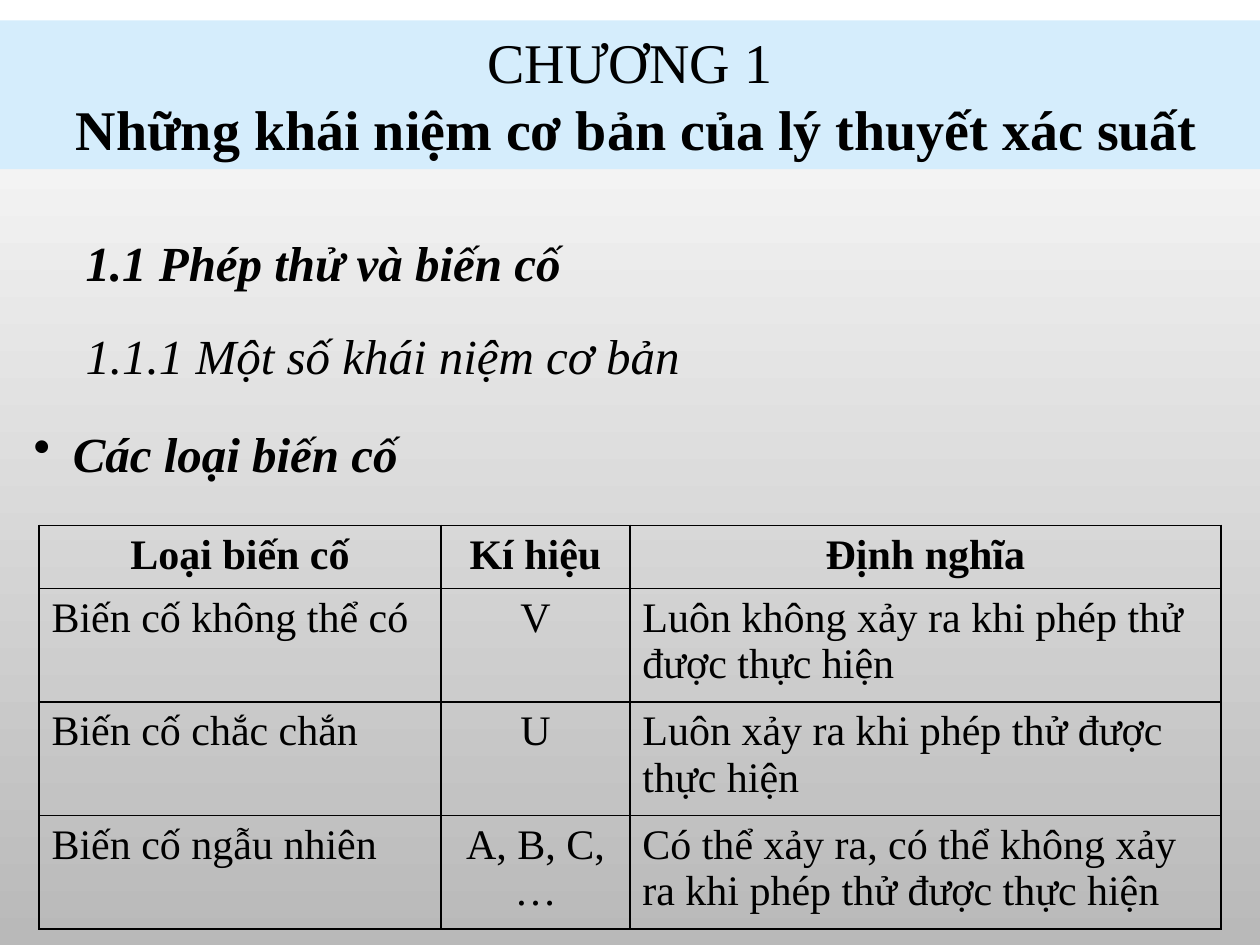
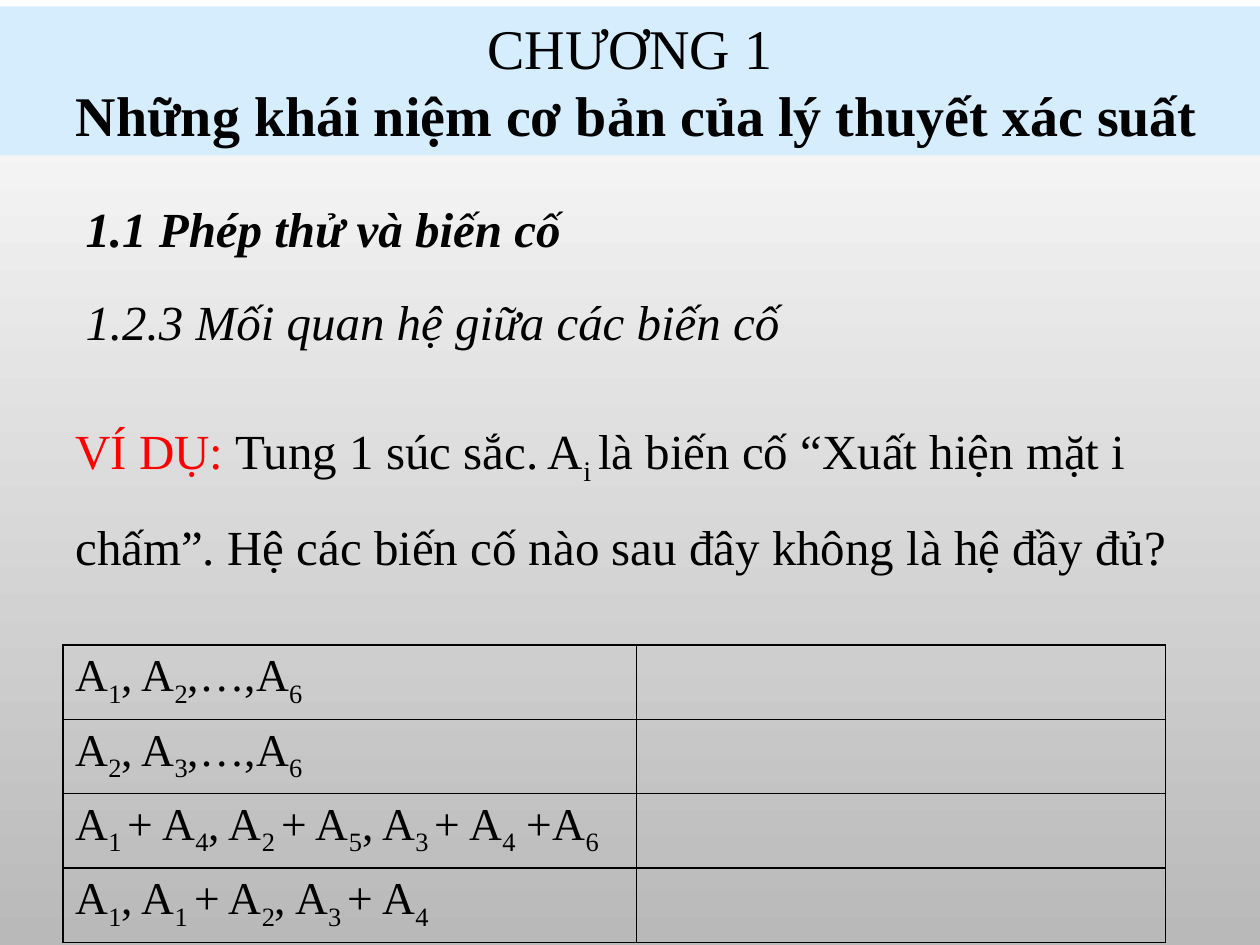
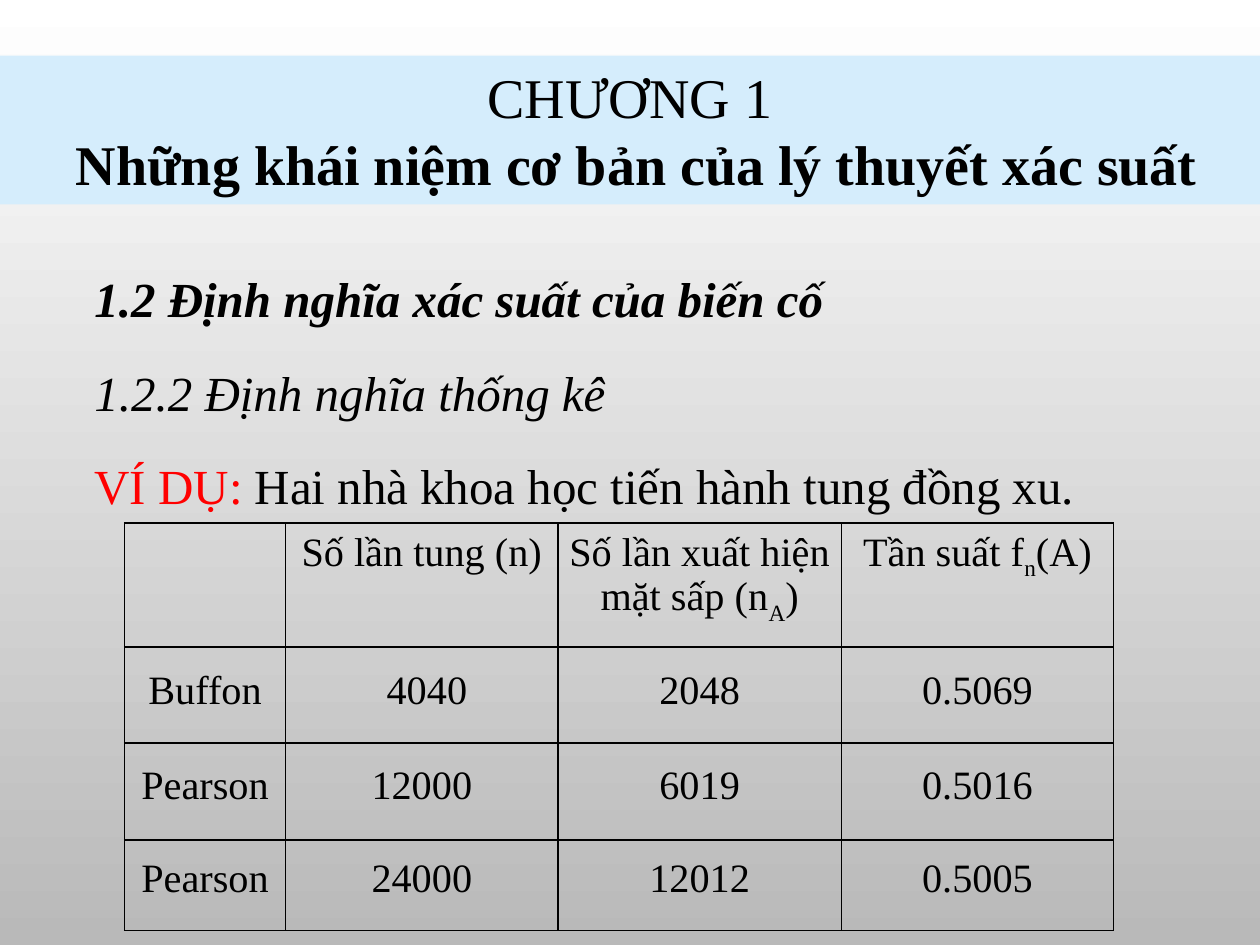
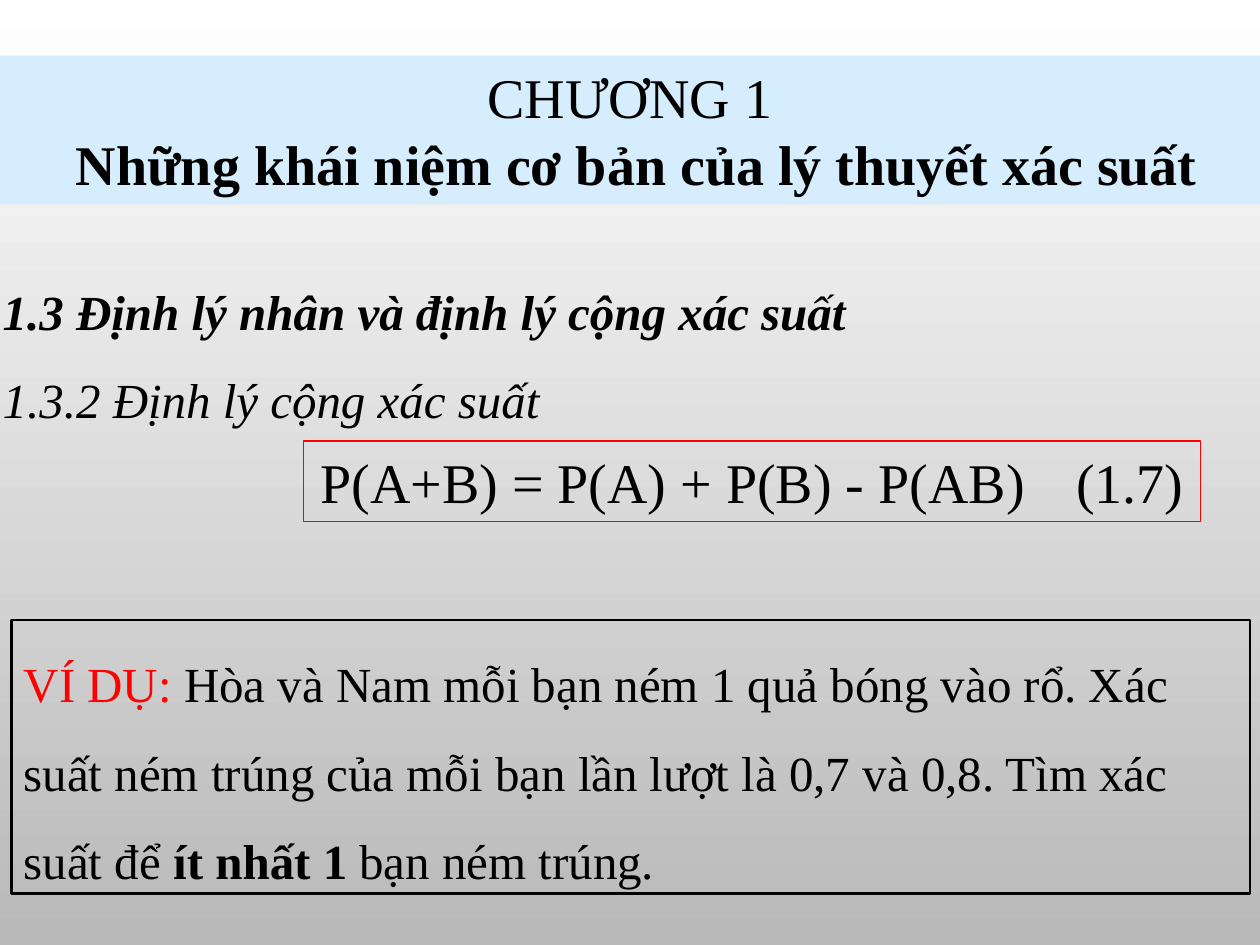
from dataclasses import dataclass

import pptx
import pptx.dml.color
import pptx.enum.shapes
import pptx.enum.text
import pptx.oxml
import pptx.oxml.ns
import pptx.util
from lxml import etree

Cm = pptx.util.Cm
Pt = pptx.util.Pt
Align = pptx.enum.text.PP_ALIGN
Anchor = pptx.enum.text.MSO_ANCHOR
qn = pptx.oxml.ns.qn


@dataclass(frozen=True)
class Theme:
    font: str = "Times New Roman"
    ink: str = "000000"
    accent: str = "FF0000"
    band: str = "D5EDFC"
    page_top: str = "FFFFFF"
    page_bottom: str = "B9B9B9"
    title_size: int = 32
    body_size: int = 28
    event_size: int = 24
    system_size: int = 26
    toss_size: int = 23
    spacing: float = 1.5


THEME = Theme()
CHAPTER = ("CHƯƠNG 1", " Những khái niệm cơ bản của lý thuyết xác suất")
LABEL = ("VÍ DỤ: ", {"color": THEME.accent})


def rgb(value):
    return pptx.dml.color.RGBColor.from_string(value)


def subscripted(text):
    parts = text.replace("}", "{").split("{")
    return [(part, {"sub": i % 2 == 1}) for i, part in enumerate(parts) if part]


def write(para, spans, size, align=Align.LEFT, bold=False, italic=False, spacing=None):
    para.alignment = align
    para.line_spacing = spacing
    para.space_before = Pt(0)
    font = para.font
    font.name, font.size = THEME.font, Pt(size)
    font.bold, font.italic = bold, italic
    font.color.rgb = rgb(THEME.ink)
    for text, style in spans:
        span = para.add_run()
        span.text = text
        if "color" in style:
            span.font.color.rgb = rgb(style["color"])
        if style.get("bold"):
            span.font.bold = True
        if style.get("sub"):
            span.font._element.set("baseline", "-25000")


def set_bullet(para, margin=0, indent=0, mark=None):
    props = para._p.get_or_add_pPr()
    props.set("marL", str(Cm(margin)))
    props.set("indent", str(Cm(indent)))
    bullet = etree.Element(qn("a:buChar" if mark else "a:buNone"))
    if mark:
        bullet.set("char", mark)
    defaults = props.find(qn("a:defRPr"))
    defaults.addprevious(bullet)


def place(box, left, top, width, height, anchor):
    box.left, box.top, box.width, box.height = map(Cm, (left, top, width, height))
    frame = box.text_frame
    frame.word_wrap = True
    frame.auto_size = pptx.enum.text.MSO_AUTO_SIZE.NONE
    frame.vertical_anchor = anchor
    return frame


def add_page(deck, band_top):
    page = deck.slides.add_slide(deck.slide_layouts[1])
    title = page.shapes.title
    frame = place(title, 0, band_top, 25.4, 3, Anchor.MIDDLE)
    title.fill.solid()
    title.fill.fore_color.rgb = rgb(THEME.band)
    write(frame.paragraphs[0], [(CHAPTER[0], {})], THEME.title_size, Align.CENTER)
    write(frame.add_paragraph(), [(CHAPTER[1], {})], THEME.title_size, Align.CENTER, bold=True)
    return page


def fill_headings(page, section, topic, left, top, margin=1.27, gap=3, example=None):
    height = 5.64 if example else 3.73
    frame = place(page.placeholders[1], left, top, 25.2, height, Anchor.TOP)
    lines = [([(section, {})], True, True), ([(topic, {})], False, True)]
    if example:
        lines.append(([LABEL, (example, {})], False, False))
    for i, (spans, bold, italic) in enumerate(lines):
        para = frame.add_paragraph() if i else frame.paragraphs[0]
        write(para, spans, THEME.body_size, Align.JUSTIFY, bold, italic, THEME.spacing)
        para.space_after = Pt(gap)
        set_bullet(para, margin)


def add_text(page, spans, left, top, width, height, anchor=Anchor.TOP, **style):
    box = page.shapes.add_textbox(0, 0, 0, 0)
    frame = place(box, left, top, width, height, anchor)
    write(frame.paragraphs[0], spans, THEME.body_size, **style)
    return frame.paragraphs[0]


def add_frame(page, spans, left, top, width, height, color, weight, size, **style):
    box = page.shapes.add_shape(pptx.enum.shapes.MSO_SHAPE.RECTANGLE, 0, 0, 0, 0)
    box.shadow.inherit = False
    box.fill.background()
    box.line.color.rgb = rgb(color)
    box.line.width = Pt(weight)
    frame = place(box, left, top, width, height, Anchor.MIDDLE)
    write(frame.paragraphs[0], spans, size, **style)
    return frame


def outline_cell(cell):
    props = cell._tc.get_or_add_tcPr()
    for side in ("lnL", "lnR", "lnT", "lnB"):
        line = etree.SubElement(props, qn(f"a:{side}"), w=str(Pt(1)))
        fill = etree.SubElement(line, qn("a:solidFill"))
        etree.SubElement(fill, qn("a:srgbClr"), val=THEME.ink)
    cell.fill.background()


def add_grid(page, rows, left, top, widths, heights, size, aligns,
             bold_header=False, side_inset=0.25, top_insets=None):
    frame = page.shapes.add_table(len(rows), len(widths), Cm(left), Cm(top),
                                  Cm(sum(widths)), Cm(sum(heights)))
    table = frame.table
    table.first_row = table.horz_banding = False
    for column, width in zip(table.columns, widths):
        column.width = Cm(width)
    for r, texts in enumerate(rows):
        table.rows[r].height = Cm(heights[r])
        for c, text in enumerate(texts):
            cell = table.cell(r, c)
            outline_cell(cell)
            cell.margin_left = cell.margin_right = Cm(side_inset)
            if top_insets:
                cell.margin_top, cell.margin_bottom = Cm(top_insets[r]), 0
            header = bold_header and r == 0
            write(cell.text_frame.paragraphs[0], subscripted(text), size,
                  Align.CENTER if header else aligns[c], bold=header)


def paint_background(deck):
    fill = deck.slide_master.background.fill
    fill.gradient()
    fill.gradient_angle = 270
    for stop, color in zip(fill.gradient_stops, (THEME.page_top, THEME.page_bottom)):
        stop.color.rgb = rgb(color)


def add_event_types(deck):
    page = add_page(deck, 0.41)
    fill_headings(page, "1.1 Phép thử và biến cố", "1.1.1 Một số khái niệm cơ bản", 0.2, 3.96)
    para = add_text(page, [("Các loại biến cố", {})], 0.43, 8.41, 12.7, 1.45,
                    bold=True, italic=True)
    set_bullet(para, 0.79, -0.79, "•")
    rows = [
        ("Loại biến cố", "Kí hiệu", "Định nghĩa"),
        ("Biến cố không thể có", "V", "Luôn không xảy ra khi phép thử được thực hiện"),
        ("Biến cố chắc chắn", "U", "Luôn xảy ra khi phép thử được thực hiện"),
        ("Biến cố ngẫu nhiên", "A, B, C, …",
         "Có thể xảy ra, có thể không xảy ra khi phép thử được thực hiện"),
    ]
    add_grid(page, rows, 0.79, 10.59, (8.1, 3.81, 11.91), [1.27] + [2.29] * 3,
             THEME.event_size, (Align.LEFT, Align.CENTER, Align.LEFT), bold_header=True)


def add_event_systems(deck):
    page = add_page(deck, 0.13)
    fill_headings(page, "1.1 Phép thử và biến cố", "1.2.3 Mối quan hệ giữa các biến cố",
                  0.2, 3.28)
    question = subscripted("Tung 1 súc sắc. A{i }là biến cố “Xuất hiện mặt i chấm”. "
                           "Hệ các biến cố nào sau đây không là hệ đầy đủ?")
    add_text(page, [LABEL] + question, 1.27, 6.99, 22.86, 5.41, Anchor.MIDDLE,
             spacing=THEME.spacing)
    systems = ("A{1}, A{2},…,A{6}", "A{2}, A{3},…,A{6}",
               "A{1 }+ A{4}, A{2 }+ A{5}, A{3 }+ A{4} +A{6}",
               "A{1}, A{1 }+ A{2}, A{3 }+ A{4}")
    add_grid(page, [(system, "") for system in systems], 1.27, 13, (11.56, 10.67),
             [1.5] * 4, THEME.system_size, (Align.LEFT, Align.LEFT))


def add_coin_tosses(deck):
    page = add_page(deck, 1.12)
    fill_headings(page, "1.2 Định nghĩa xác suất của biến cố", "1.2.2 Định nghĩa thống kê",
                  0.38, 4.7, example="Hai nhà khoa học tiến hành tung đồng xu.")
    rows = [
        ("", "Số lần tung (n)", "Số lần xuất hiện mặt sấp (n{A})", "Tần suất f{n}(A)"),
        ("Buffon", " 4040", "2048", "0.5069"),
        ("Pearson", "12000", "6019", "0.5016"),
        ("Pearson", "24000", "12012", "0.5005"),
    ]
    add_grid(page, rows, 2.51, 10.54, (3.25, 5.49, 5.71, 5.49), (2.5, 1.94, 1.95, 1.83),
             THEME.toss_size, [Align.CENTER] * 4, side_inset=0.18,
             top_insets=(0.15, 0.44, 0.41, 0.34))


def add_sum_rule(deck):
    page = add_page(deck, 1.12)
    fill_headings(page, "1.3 Định lý nhân và định lý cộng xác suất",
                  "1.3.2 Định lý cộng xác suất", -0.2, 4.95, margin=0, gap=0)
    formula = add_frame(page, [("P(A+B) = P(A) + P(B) - P(AB)\t(1.7)", {})],
                        6.12, 8.89, 18.08, 1.63, THEME.accent, 0.75,
                        THEME.title_size, align=Align.CENTER)
    formula.word_wrap = False
    exercise = [
        LABEL,
        ("Hòa và Nam mỗi bạn ném 1 quả bóng vào rổ. Xác suất ném trúng của mỗi bạn "
         "lần lượt là 0,7 và 0,8. Tìm xác suất để ", {}),
        ("ít nhất 1 ", {"bold": True}),
        ("bạn ném trúng.", {}),
    ]
    add_frame(page, exercise, 0.23, 12.5, 24.97, 5.51, THEME.ink, 1.5,
              THEME.body_size, spacing=THEME.spacing)


def main():
    deck = pptx.Presentation()
    deck.slide_width, deck.slide_height = Cm(25.4), Cm(19.05)
    paint_background(deck)
    add_event_types(deck)
    add_event_systems(deck)
    add_coin_tosses(deck)
    add_sum_rule(deck)
    deck.save("out.pptx")


if __name__ == "__main__":
    main()
